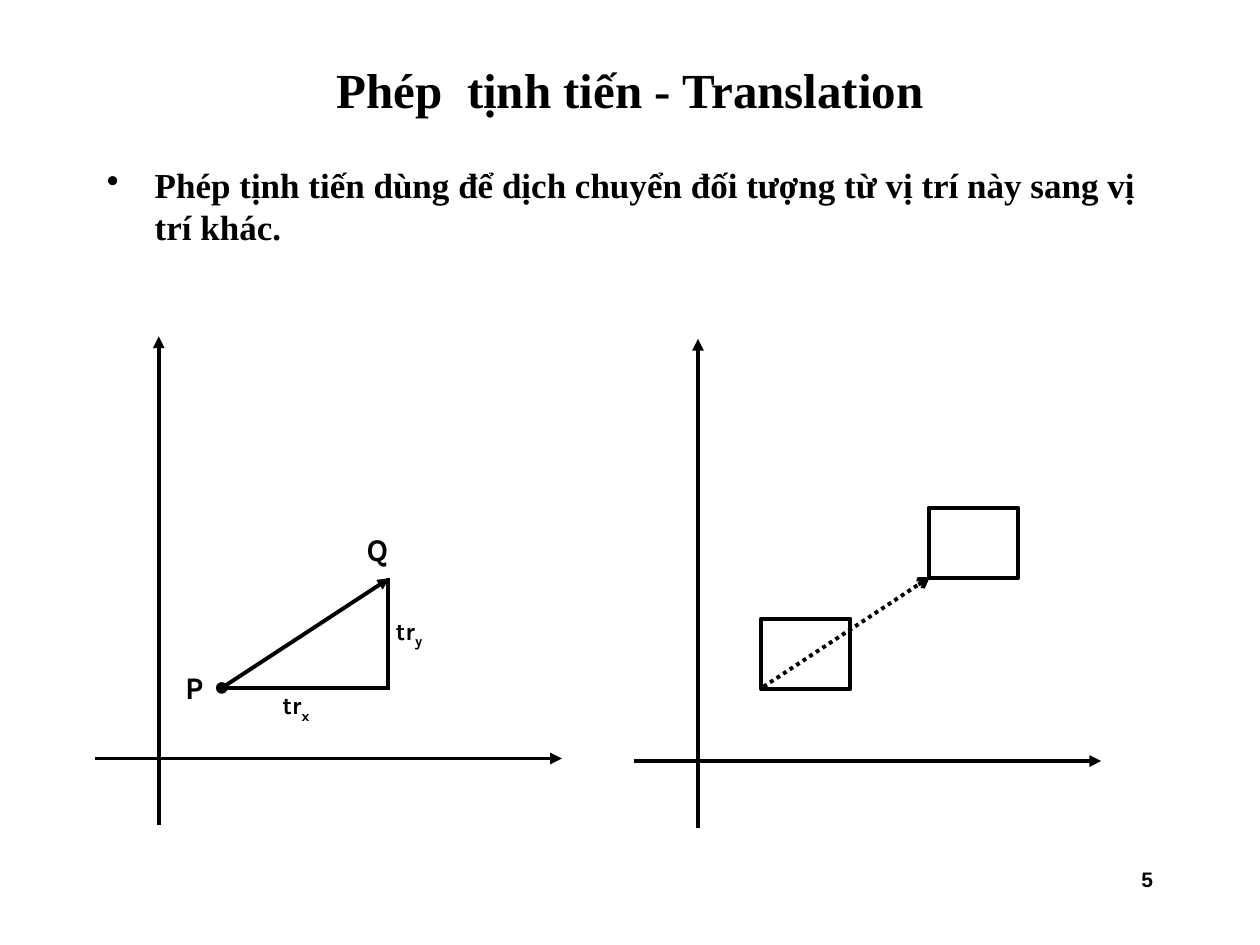
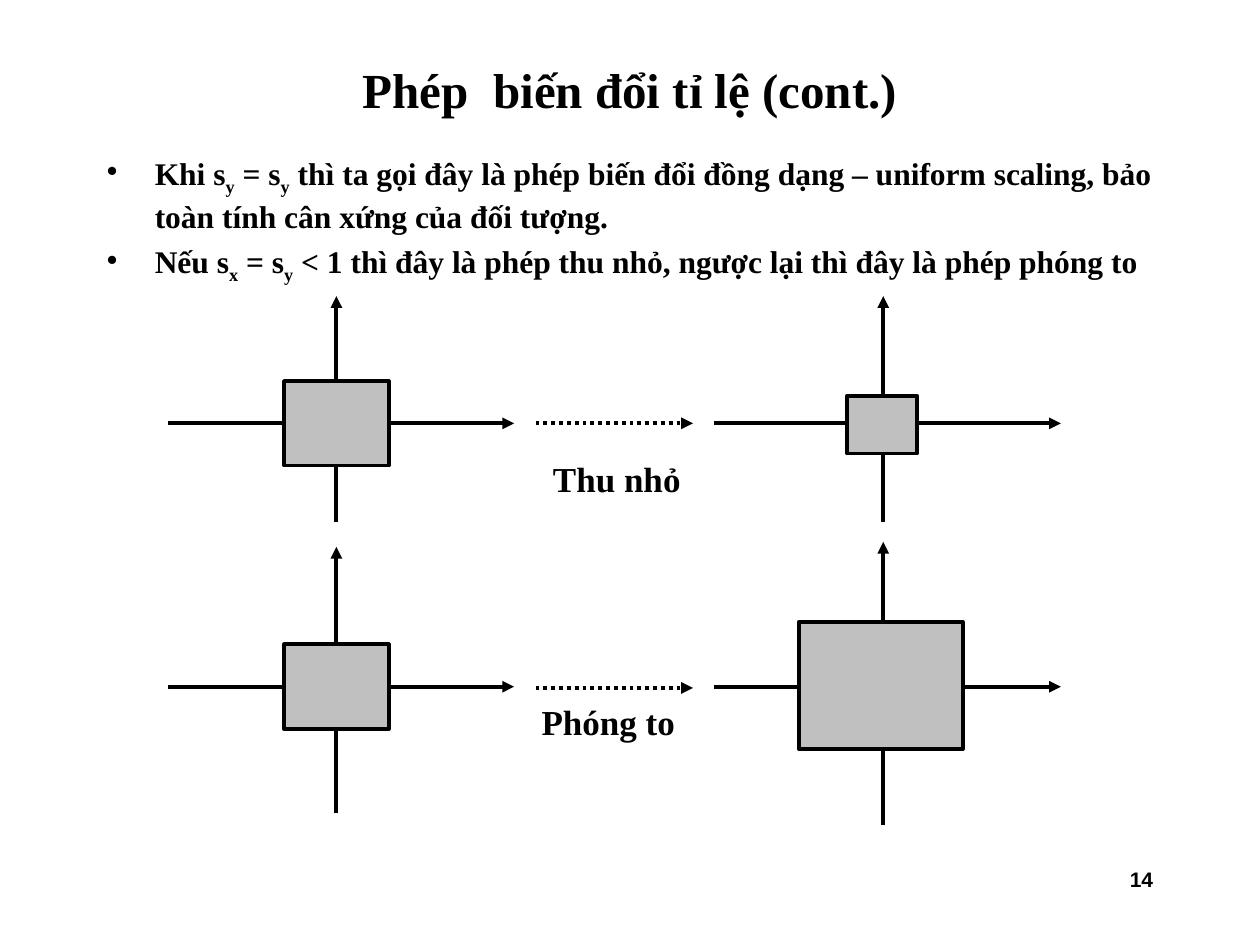
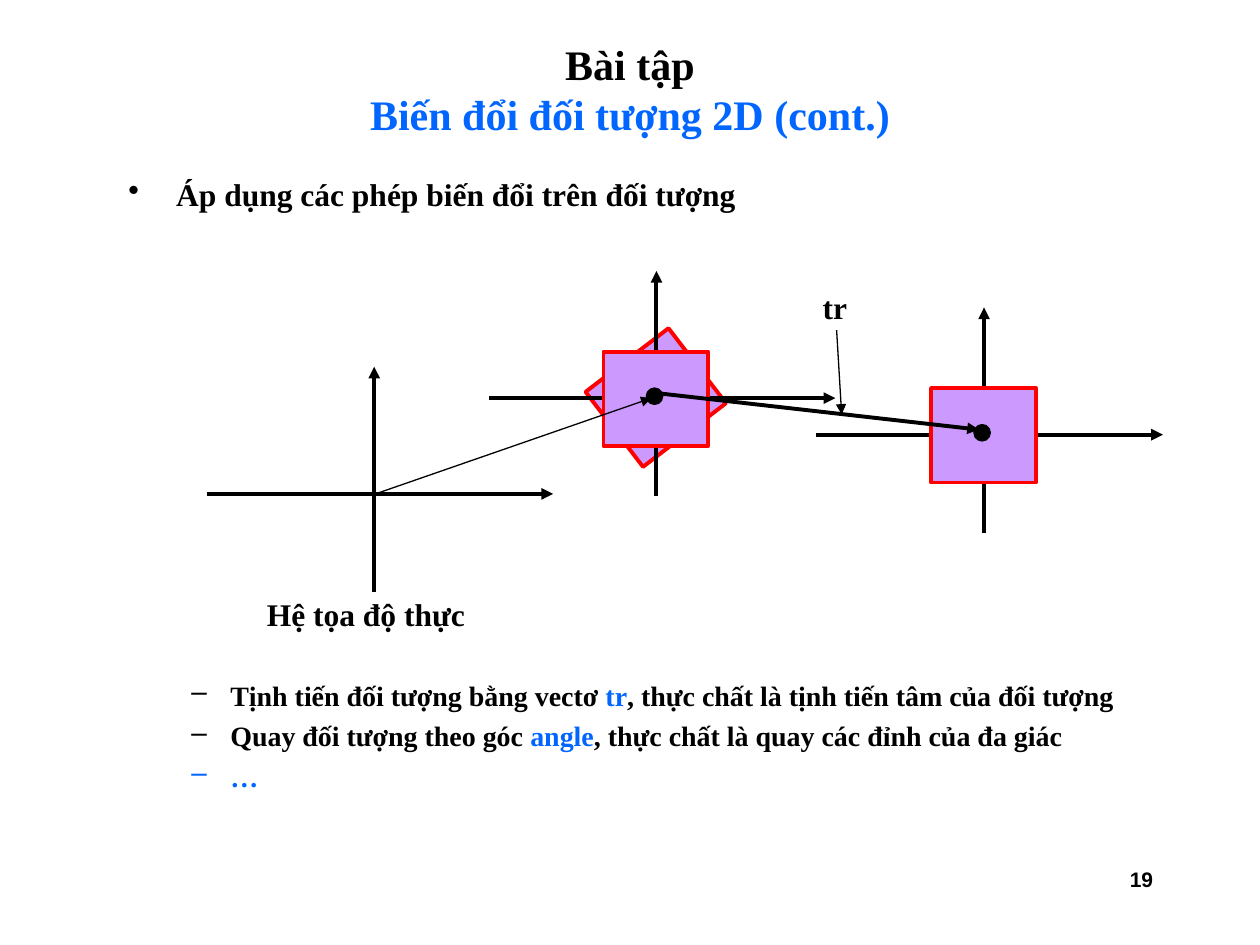
from lxml.etree import SubElement
from pptx import Presentation
from pptx.dml.color import RGBColor
from pptx.enum.dml import MSO_LINE
from pptx.enum.shapes import MSO_CONNECTOR, MSO_SHAPE
from pptx.enum.text import MSO_ANCHOR, PP_ALIGN
from pptx.oxml.ns import qn
from pptx.util import Inches, Pt

BLACK, WHITE, GRAY = "000000", "FFFFFF", "C0C0C0"
BLUE, VIOLET, RED = "0066FF", "CC99FF", "FF0000"
color = RGBColor.from_string
SERIF, SANS, LABEL = "Times New Roman", "Arial", "Karla"

# Paragraph styles: font, size, paragraph format and, for lists, bullet, margin and indent.
BULLET = ("•", 0.38, -0.38)
DASH = ("–", 0.81, -0.31)
STYLES = {
    "title": (SERIF, 28, {"alignment": PP_ALIGN.CENTER}, None),
    "small title": (SERIF, 24, {"alignment": PP_ALIGN.CENTER}, None),
    "large bullet": (SERIF, 20, {"space_before": Pt(5)}, BULLET),
    "bullet": (SERIF, 18, {"space_before": Pt(4.5)}, BULLET),
    "first dash": (SERIF, 16, {"space_before": Pt(266), "level": 1}, DASH),
    "dash": (SERIF, 16, {"space_before": Pt(4), "level": 1}, DASH),
    "large caption": (SERIF, 20, {"space_before": Pt(12.5)}, None),
    "caption": (SERIF, 18, {"space_before": Pt(11.2)}, None),
    "point": (LABEL, 18, {}, None),
    "offset": (LABEL, 14, {}, None),
    "number": (SANS, 12, {"alignment": PP_ALIGN.RIGHT}, None),
}


def add_line(page, start, end, width=2.25, head=None, tail="triangle", dotted=False):
    """Draw a black line; head and tail are the arrowheads at start and end."""
    line = page.shapes.add_connector(
        MSO_CONNECTOR.STRAIGHT, *(Inches(value) for value in (*start, *end)))
    line.line.color.rgb = color(BLACK)
    line.line.width = Pt(width)
    if dotted:
        line.line.dash_style = MSO_LINE.ROUND_DOT
    properties = line.element.spPr
    for tag, arrow in (("a:headEnd", head), ("a:tailEnd", tail)):
        if arrow:
            SubElement(properties.find(qn("a:ln")), qn(tag), type=arrow)
    SubElement(properties, qn("a:effectLst"))


def add_box(page, at, fill, outline=BLACK, width=2.25, kind=MSO_SHAPE.RECTANGLE, rotation=0):
    box = page.shapes.add_shape(kind, *(Inches(value) for value in at))
    box.shadow.inherit = False
    box.rotation = rotation
    box.fill.solid()
    box.fill.fore_color.rgb = color(fill)
    box.line.color.rgb = color(outline)
    box.line.width = Pt(width)


deck = Presentation()
deck.slide_width, deck.slide_height = Inches(10), Inches(7.5)
translation, scaling, exercise = pages = [
    deck.slides.add_slide(deck.slide_layouts[6]) for _ in range(3)]

# The turned square lies behind the axes
add_box(exercise, (4.79, 2.78, 0.83, 0.75), VIOLET, RED, rotation=322.5)

# Axes: page, origin, then reach to the left, right, top and bottom
axes = [
    (translation, 1.26, 6.02, 0.51, 3.2, 3.35, 0.53),
    (translation, 5.54, 6.04, 0.51, 3.2, 3.35, 0.53),
    (scaling, 2.67, 3.36, 1.34, 1.41, 1.01, 0.78),
    (scaling, 7.01, 3.36, 1.34, 1.41, 1.01, 0.78),
    (scaling, 2.67, 5.45, 1.34, 1.41, 1.11, 1),
    (scaling, 7.01, 5.45, 1.34, 1.41, 1.15, 1.1),
    (exercise, 5.21, 3.16, 1.33, 1.42, 1.01, 0.78),
    (exercise, 2.97, 3.92, 1.33, 1.42, 1.01, 0.78),
    (exercise, 7.81, 3.45, 1.33, 1.42, 1.01, 0.78),
]
for page, x, y, left, right, up, down in axes:
    add_line(page, (x, y + down), (x, y - up))
    add_line(page, (x - left, y), (x + right, y))

# Translation: vector PQ with its two parts, and a moved rectangle
add_line(translation, (1.76, 5.46), (3.09, 4.59), head="oval")
add_line(translation, (1.76, 5.46), (3.08, 5.46), tail=None)
add_line(translation, (3.08, 4.59), (3.08, 5.48), tail=None)
for left, top in ((6.04, 4.91), (7.37, 4.03)):
    add_box(translation, (left, top, 0.71, 0.56), WHITE)
add_line(translation, (6.06, 5.45), (7.38, 4.58), tail="arrow", dotted=True)

# Scaling: rectangles centred near each origin
for x, y, width, height in (
        (2.67, 3.36, 0.83, 0.67), (7, 3.37, 0.55, 0.46),
        (2.67, 5.45, 0.83, 0.67), (6.99, 5.44, 1.3, 1.01)):
    add_box(scaling, (x - width / 2, y - height / 2, width, height), GRAY)
for y in (3.36, 5.46):
    add_line(scaling, (4.25, y), (5.5, y), dotted=True)

# Exercise: squares with their centres, and the vectors between them
for x, y in ((5.21, 3.16), (7.81, 3.45)):
    add_box(exercise, (x - 0.42, y - 0.37, 0.83, 0.75), VIOLET, RED)
    add_box(exercise, (x - 0.08, y - 0.08, 0.13, 0.13), BLACK, width=0.75, kind=MSO_SHAPE.OVAL)
add_line(exercise, (2.98, 3.92), (5.17, 3.16), width=0.75)
add_line(exercise, (5.21, 3.12), (7.77, 3.41))
add_line(exercise, (6.64, 2.62), (6.68, 3.29), width=0.75)

# Texts: bars enclose a subscript, or blue words on the exercise page
TITLE_AT = (0.75, 0.33, 8.5, 0.75)
texts = [
    (translation, TITLE_AT, [("title", "Phép  tịnh tiến - Translation")]),
    (translation, (0.75, 1.25, 8.5, 5.42), [
        ("large bullet", "Phép tịnh tiến dùng để dịch chuyển đối tượng từ vị trí này sang vị "
                         "trí khác.")]),
    (translation, (2.24, 5.48, 0.41, 0.32), [("offset", "tr|x|")]),
    (translation, (3.14, 4.89, 0.41, 0.32), [("offset", "tr|y|")]),
    (translation, (1.47, 5.3, 0.24, 0.34), [("point", "P")]),
    (translation, (2.91, 4.21, 0.41, 0.32), [("point", "Q")]),
    (scaling, TITLE_AT, [("title", "Phép  biến đổi tỉ lệ (cont.)")]),
    (scaling, (0.75, 1.17, 8.75, 5.42), [
        ("bullet", "Khi s|y| = s|y| thì ta gọi đây là phép biến đổi đồng dạng – uniform "
                   "scaling, bảo toàn tính cân xứng của đối tượng."),
        ("bullet", "Nếu s|x| = s|y| < 1 thì đây là phép thu nhỏ, ngược lại thì đây là phép "
                   "phóng to")]),
    (scaling, (4.29, 3.58, 1.89, 0.44), [("large caption", "Thu nhỏ")]),
    (scaling, (4.2, 5.51, 1.89, 0.44), [("large caption", "Phóng to")]),
    (exercise, TITLE_AT, [
        ("small title", "Bài tập"),
        ("small title", "|Biến đổi đối tượng 2D (cont.)|")]),
    (exercise, (0.92, 1.34, 8.75, 5.42), [
        ("bullet", "Áp dụng các phép biến đổi trên đối tượng"),
        ("first dash", "Tịnh tiến đối tượng bằng vectơ |tr|, thực chất là tịnh tiến tâm của "
                       "đối tượng"),
        ("dash", "Quay đối tượng theo góc |angle|, thực chất là quay các đỉnh của đa giác"),
        ("dash", "|…|")]),
    (exercise, (2.02, 4.67, 2.94, 0.4), [("caption", "Hệ tọa độ thực")]),
    (exercise, (6.43, 2.24, 1.01, 0.4), [("caption", "tr")]),
]
for page, number in zip(pages, ("5", "14", "19")):
    texts.append((page, (7.17, 6.83, 2.08, 0.5), [("number", number)]))

for page, at, paragraphs in texts:
    box = page.shapes.add_textbox(*(Inches(value) for value in at))
    frame = box.text_frame
    frame.word_wrap = True
    if at == TITLE_AT:
        frame.vertical_anchor = MSO_ANCHOR.MIDDLE
    if paragraphs[0][0] in ("point", "offset"):
        box.fill.solid()
        box.fill.fore_color.rgb = color(WHITE)
        for margin in ("margin_left", "margin_top", "margin_right", "margin_bottom"):
            setattr(frame, margin, 0)
    for index, (style, text) in enumerate(paragraphs):
        font, size, formats, bullet = STYLES[style]
        para = frame.add_paragraph() if index else frame.paragraphs[0]
        for name, value in formats.items():
            setattr(para, name, value)
        if bullet:
            mark, margin, indent = bullet
            properties = para._p.get_or_add_pPr()
            properties.set("marL", str(Inches(margin)))
            properties.set("indent", str(Inches(indent)))
            SubElement(properties, qn("a:buChar"), char=mark)
        for position, piece in enumerate(text.split("|")):
            if not piece:
                continue
            marked = position % 2 == 1
            span = para.add_run()
            span.text = piece
            for name, value in {"name": font, "size": Pt(size), "bold": True}.items():
                setattr(span.font, name, value)
            span.font.color.rgb = color(BLUE if marked and page is exercise else BLACK)
            if marked and page is not exercise:
                span._r.get_or_add_rPr().set("baseline", "-25000")

deck.save("out.pptx")
